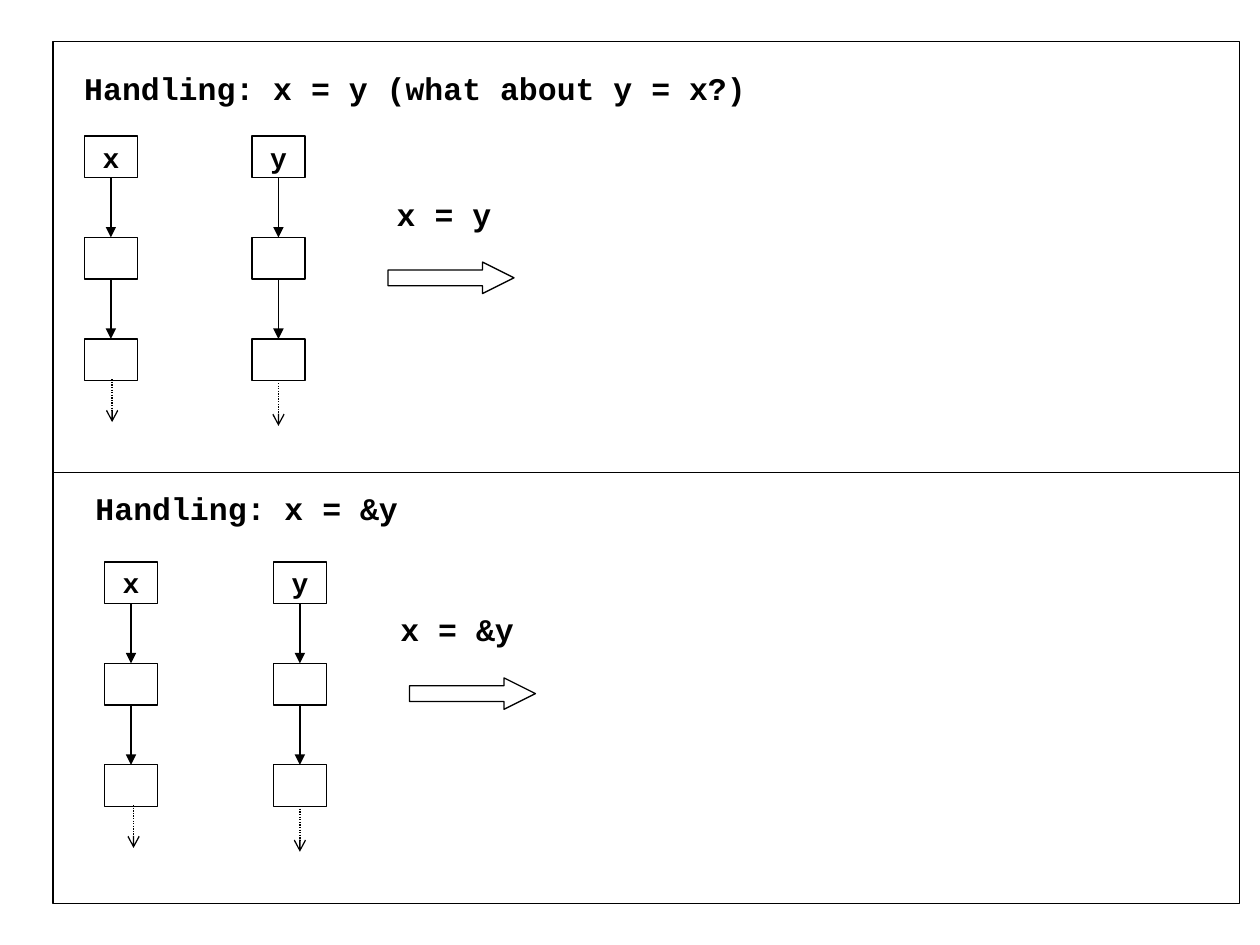
from dataclasses import dataclass

from lxml.etree import SubElement
from pptx import Presentation
from pptx.dml.color import RGBColor
from pptx.enum.dml import MSO_LINE_DASH_STYLE as Dash
from pptx.enum.shapes import MSO_CONNECTOR as Connector
from pptx.enum.shapes import MSO_SHAPE as Shape
from pptx.enum.text import MSO_ANCHOR as Anchor
from pptx.enum.text import MSO_AUTO_SIZE as AutoSize
from pptx.enum.text import PP_ALIGN as Align
from pptx.oxml.ns import qn
from pptx.util import Inches, Pt


@dataclass(frozen=True)
class Theme:
    ink: RGBColor = RGBColor(0, 0, 0)
    font: str = "Courier New"
    label_size: float = 18
    node_size: float = 16
    line_width: float = 0.75


@dataclass(frozen=True)
class Label:
    text: str
    left: float
    top: float
    width: float


@dataclass(frozen=True)
class Chain:
    name: str
    left: float
    top: float
    tail_dx: float
    tail_dy: float


@dataclass(frozen=True)
class Panel:
    top: float
    heading: Label
    statement: Label
    chains: tuple[Chain, ...]
    arrow_left: float
    arrow_top: float


THEME = Theme()
PANEL_LEFT, PANEL_WIDTH, PANEL_HEIGHT = 0.42, 9.42, 3.42
NODE_WIDTH, NODE_HEIGHT, NODE_PITCH, NODE_COUNT = 0.42, 0.33, 0.805, 3
TAIL_LENGTH = 0.34
LABEL_HEIGHT = 0.4

PANELS = (
    Panel(
        top=0.33,
        heading=Label("Handling: x = y (what about y = x?)", 0.57, 0.5, 5.45),
        statement=Label("x = y", 3.05, 1.5, 0.95),
        chains=(Chain("x", 0.67, 1.08, 0.01, -0.01), Chain("y", 2, 1.08, 0, 0.02)),
        arrow_left=3.08,
        arrow_top=2.08,
    ),
    Panel(
        top=3.75,
        heading=Label("Handling: x = &y", 0.66, 3.83, 2.6),
        statement=Label("x = &y", 3.08, 4.79, 1.1),
        chains=(Chain("x", 0.83, 4.46, 0.02, -0.01), Chain("y", 2.17, 4.46, 0, 0.02)),
        arrow_left=3.25,
        arrow_top=5.38,
    ),
)


def add_text(tf, text: str, size: float, align: Align) -> None:
    tf.word_wrap = False
    p = tf.paragraphs[0]
    p.alignment = align
    r = p.add_run()
    r.text = text
    r.font.name = THEME.font
    r.font.size = Pt(size)
    r.font.bold = True
    r.font.color.rgb = THEME.ink


def add_label(s, label: Label) -> None:
    box = s.shapes.add_textbox(
        Inches(label.left), Inches(label.top), Inches(label.width), Inches(LABEL_HEIGHT)
    )
    add_text(box.text_frame, label.text, THEME.label_size, Align.LEFT)
    box.text_frame.auto_size = AutoSize.SHAPE_TO_FIT_TEXT


def add_outline(s, kind: Shape, left: float, top: float, width: float, height: float):
    """Add an unfilled shape with a thin outline."""
    sp = s.shapes.add_shape(
        kind, Inches(left), Inches(top), Inches(width), Inches(height)
    )
    sp.shadow.inherit = False
    sp.fill.background()
    sp.line.color.rgb = THEME.ink
    sp.line.width = Pt(THEME.line_width)
    return sp


def add_arrow(s, x: float, top: float, bottom: float, head: str):
    """Add a vertical line with an arrowhead at its lower end."""
    line = s.shapes.add_connector(
        Connector.STRAIGHT, Inches(x), Inches(top), Inches(x), Inches(bottom)
    )
    line.line.color.rgb = THEME.ink
    line.line.width = Pt(THEME.line_width)
    SubElement(line.line._get_or_add_ln(), qn("a:tailEnd"), type=head)
    SubElement(line._element.spPr, qn("a:effectLst"))
    return line


def add_chain(s, chain: Chain) -> None:
    """Add a named node, the nodes it points to, and a dotted tail."""
    tops = [chain.top + i * NODE_PITCH for i in range(NODE_COUNT)]
    nodes = [
        add_outline(s, Shape.RECTANGLE, chain.left, top, NODE_WIDTH, NODE_HEIGHT)
        for top in tops
    ]
    tf = nodes[0].text_frame
    tf.vertical_anchor = Anchor.MIDDLE
    add_text(tf, chain.name, THEME.node_size, Align.CENTER)

    x = chain.left + NODE_WIDTH / 2
    for i in range(NODE_COUNT - 1):
        link = add_arrow(s, x, tops[i] + NODE_HEIGHT, tops[i + 1], "triangle")
        link.begin_connect(nodes[i], 2)
        link.end_connect(nodes[i + 1], 0)

    tail_top = tops[-1] + NODE_HEIGHT + chain.tail_dy
    tail = add_arrow(s, x + chain.tail_dx, tail_top, tail_top + TAIL_LENGTH, "arrow")
    tail.line.dash_style = Dash.ROUND_DOT


def add_panel(s, panel: Panel) -> None:
    add_outline(
        s, Shape.RECTANGLE, PANEL_LEFT, panel.top, PANEL_WIDTH, PANEL_HEIGHT
    )
    add_label(s, panel.heading)
    add_label(s, panel.statement)
    arrow = add_outline(
        s, Shape.RIGHT_ARROW, panel.arrow_left, panel.arrow_top, 1, 0.25
    )
    arrow.adjustments[0] = 0.5
    arrow.adjustments[1] = 1
    for chain in panel.chains:
        add_chain(s, chain)


def main() -> None:
    prs = Presentation()
    prs.slide_width = Inches(10)
    prs.slide_height = Inches(7.5)
    s = prs.slides.add_slide(prs.slide_layouts[6])
    for panel in PANELS:
        add_panel(s, panel)
    prs.save("out.pptx")


if __name__ == "__main__":
    main()
